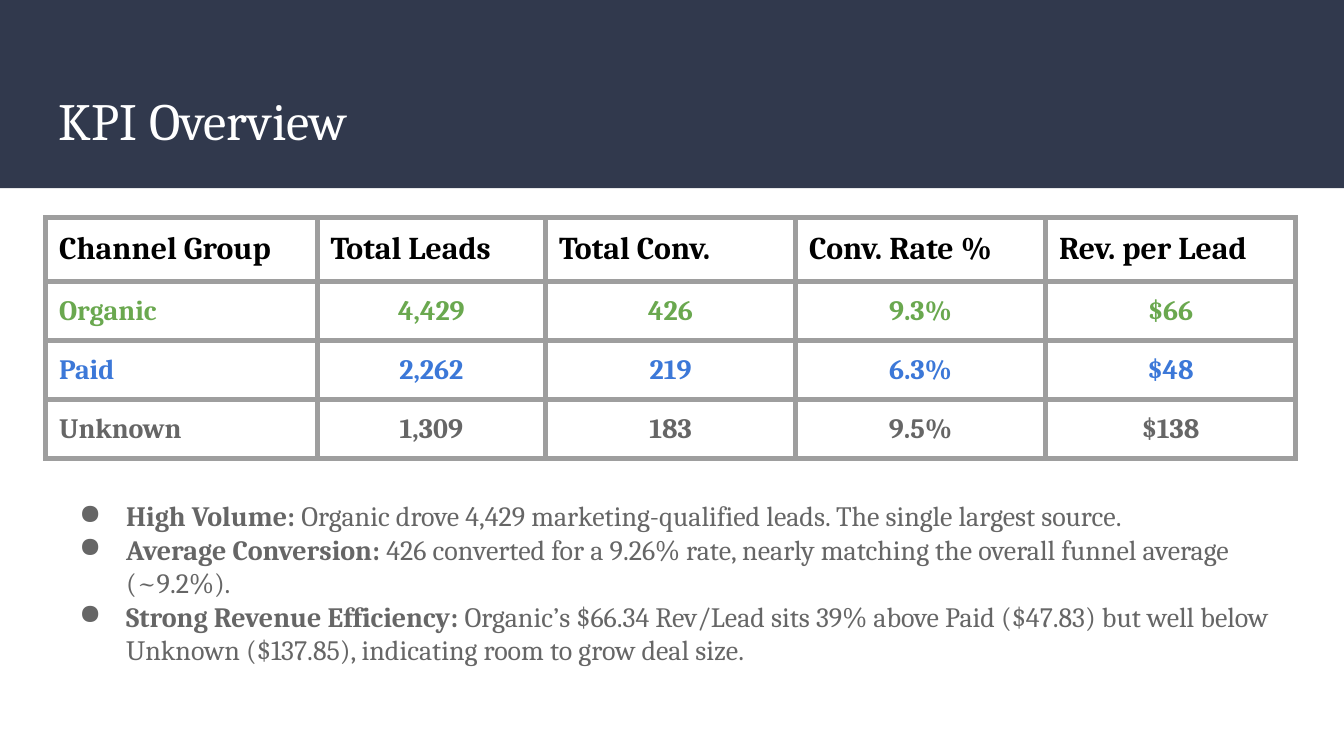
"""Build the KPI overview slide with a channel table and three findings."""
from lxml import etree
from pptx import Presentation
from pptx.dml.color import RGBColor
from pptx.enum.shapes import MSO_SHAPE
from pptx.enum.text import MSO_ANCHOR, PP_ALIGN
from pptx.oxml.ns import qn
from pptx.util import Inches, Pt

RECT = MSO_SHAPE.RECTANGLE
TOP, BOTTOM = MSO_ANCHOR.TOP, MSO_ANCHOR.BOTTOM
LEFT, CENTER = PP_ALIGN.LEFT, PP_ALIGN.CENTER
NAVY = RGBColor(0x31, 0x39, 0x4D)
WHITE = RGBColor(0xFF, 0xFF, 0xFF)
BLACK = RGBColor(0, 0, 0)
GREEN = RGBColor(0x6A, 0xA8, 0x4F)
BLUE = RGBColor(0x3C, 0x78, 0xD8)
GRAY = RGBColor(0x66, 0x66, 0x66)
RULE = RGBColor(0x9E, 0x9E, 0x9E)
FONT = "Cambria"
EDGE = Inches(0.34)
PAD = Inches(0.1)


def style(run, size, color, bold=False):
    run.font.name = FONT
    run.font.size = Pt(size)
    run.font.color.rgb = color
    run.font.bold = bold


def add_box(top, height, anchor):
    box = slide.shapes.add_textbox(EDGE, Inches(top), Inches(9.32), Inches(height))
    frame = box.text_frame
    frame.word_wrap = True
    frame.vertical_anchor = anchor
    frame.margin_left = frame.margin_right = PAD
    frame.margin_top = frame.margin_bottom = PAD
    return frame


deck = Presentation()
deck.slide_width = Inches(10)
deck.slide_height = Inches(10) * 9 // 16
slide = deck.slides.add_slide(deck.slide_layouts[6])

band = slide.shapes.add_shape(RECT, 0, 0, Inches(10), Inches(1.4))
band.shadow.inherit = False
band.fill.solid()
band.fill.fore_color.rgb = NAVY
band.line.fill.background()

title = add_box(0.54, 0.68, BOTTOM)
title.text = "KPI Overview"
style(title.paragraphs[0].runs[0], 28, WHITE)

rows = [
    (BLACK, 17, ["Channel Group", "Total Leads", "Total Conv.", "Conv. Rate %", "Rev. per Lead"]),
    (GREEN, 15, ["Organic", "4,429", "426", "9.3%", "$66"]),
    (BLUE, 15, ["Paid", "2,262", "219", "6.3%", "$48"]),
    (GRAY, 15, ["Unknown", "1,309", "183", "9.5%", "$138"]),
]
widths = [2.02, 1.7, 1.86, 1.86, 1.86]
table = slide.shapes.add_table(
    len(rows), len(widths), EDGE, Inches(1.62), Inches(sum(widths)), Inches(1.68)
).table
table.first_row = table.horz_banding = False
for col, width in zip(table.columns, widths):
    col.width = Inches(width)

for r, (color, size, words) in enumerate(rows):
    table.rows[r].height = Inches(0.42)
    for c, word in enumerate(words):
        cell = table.cell(r, c)
        cell.margin_left = cell.margin_right = cell.margin_top = PAD
        cell.margin_bottom = Inches(0.09)
        cell.text_frame.text = word
        para = cell.text_frame.paragraphs[0]
        para.alignment = CENTER if r and c else LEFT
        style(para.runs[0], size, color, True)
        props = cell._tc.get_or_add_tcPr()
        for side in ("a:lnL", "a:lnR", "a:lnT", "a:lnB"):
            line = etree.SubElement(props, qn(side), w=str(Pt(3)))
            fill = etree.SubElement(line, qn("a:solidFill"))
            etree.SubElement(fill, qn("a:srgbClr"), val=str(RULE))
        cell.fill.background()

notes = [
    ("High Volume:", " Organic drove 4,429 marketing-qualified leads. The single largest source."),
    ("Average Conversion:", " 426 converted for a 9.26% rate, nearly matching the overall "
     "funnel average (~9.2%)."),
    ("Strong Revenue Efficiency:", " Organic’s $66.34 Rev/Lead sits 39% above Paid ($47.83) "
     "but well below Unknown ($137.85), indicating room to grow deal size."),
]
frame = add_box(3.61, 1.95, TOP)
for i, note in enumerate(notes):
    para = frame.add_paragraph() if i else frame.paragraphs[0]
    for part, bold in zip(note, (True, False)):
        run = para.add_run()
        run.text = part
        style(run, 15, GRAY, bold)
    props = para._p.get_or_add_pPr()
    props.set("marL", str(Inches(0.5)))
    props.set("indent", str(Inches(-0.35)))
    tint = etree.SubElement(props, qn("a:buClr"))
    etree.SubElement(tint, qn("a:srgbClr"), val=str(GRAY))
    etree.SubElement(props, qn("a:buChar"), char="●")

deck.save("out.pptx")
